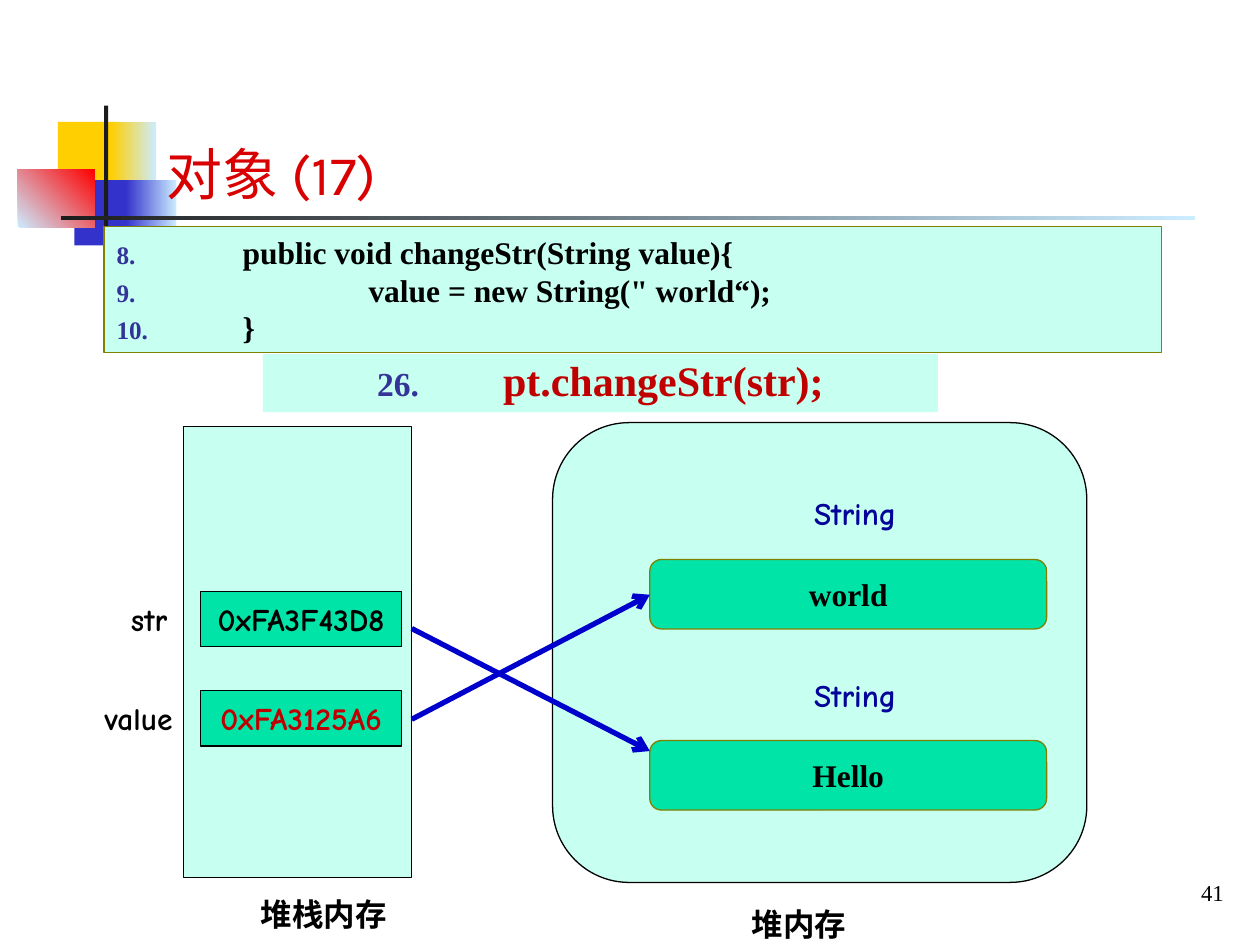
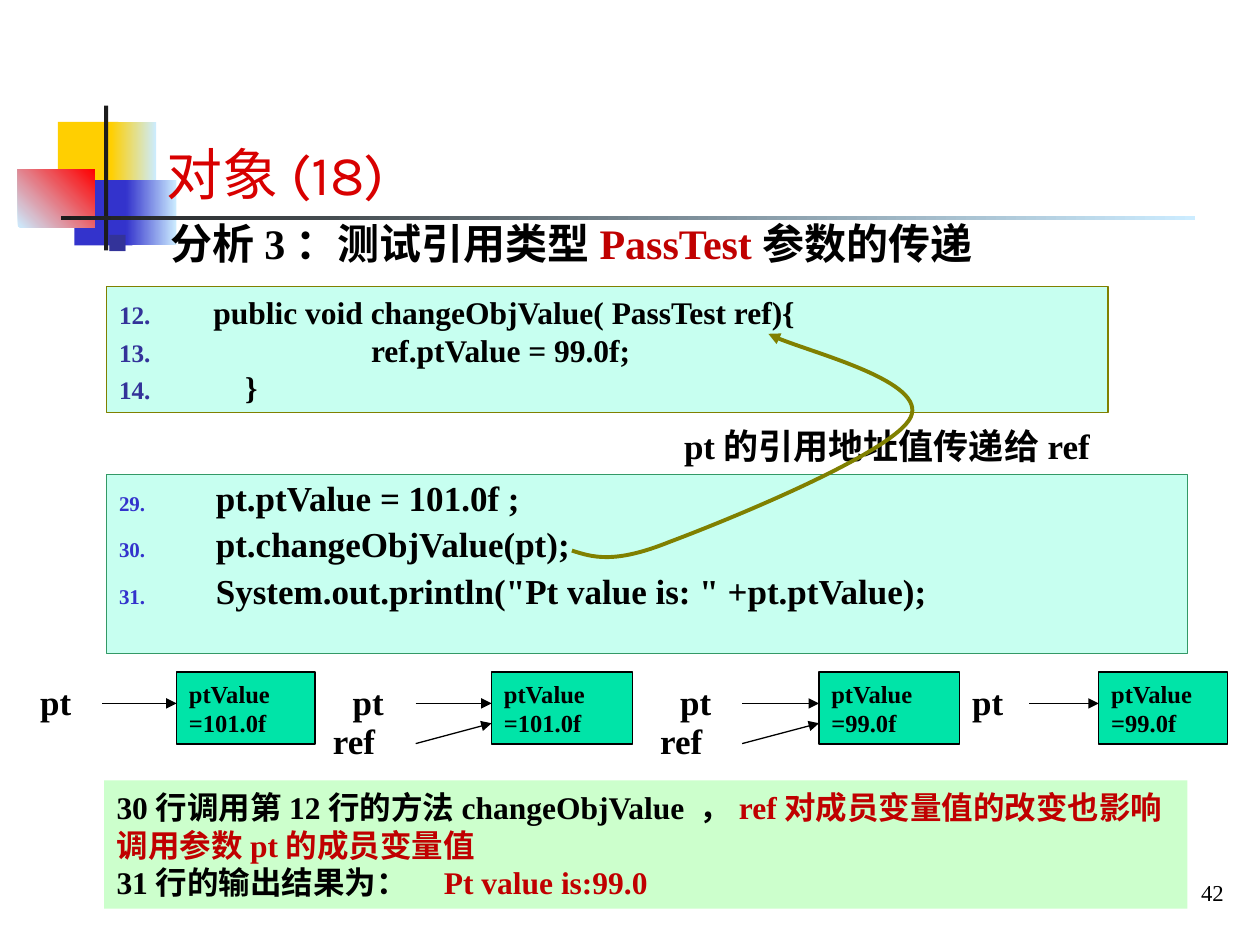
from dataclasses import dataclass, replace

from pptx import Presentation
from pptx.dml.color import RGBColor
from pptx.enum.shapes import MSO_CONNECTOR, MSO_SHAPE
from pptx.enum.text import MSO_ANCHOR, MSO_AUTO_SIZE, PP_ALIGN
from pptx.oxml.ns import qn
from pptx.oxml.xmlchemy import OxmlElement
from pptx.presentation import Presentation as Deck
from pptx.shapes.autoshape import Shape
from pptx.slide import Slide
from pptx.text.text import TextFrame
from pptx.util import Cm, Pt

BLACK, RED, TITLE_RED, NAVY = "000000", "C00000", "D80000", "04049A"
MINT, GREEN, PALE_GREEN = "C7FFF0", "00E4A8", "CCFFCC"
OLIVE, SEA, BLUE, INDIGO = "808000", "339966", "0000CC", "333399"
YELLOW, ROYAL, SKY, INK = "FFCF01", "3333CC", "CCECFF", "1C1C1C"
SERIF, HAND, HEADING = "Times New Roman", "Comic Neue", "Karla"


@dataclass(frozen=True)
class Area:
    """Position and size in centimetres."""
    left: float
    top: float
    width: float
    height: float


@dataclass(frozen=True)
class Bullet:
    """A numbered list from `start`, or a square when start is 0."""
    start: int
    indent: float
    color: str = INDIGO
    percent: int = 80


@dataclass(frozen=True)
class Style:
    size: float = 18
    color: str = BLACK
    font: str = SERIF
    bold: bool = True
    align: PP_ALIGN = PP_ALIGN.LEFT
    anchor: MSO_ANCHOR = MSO_ANCHOR.TOP
    bullet: Bullet | None = None
    spacing: float = 1.0
    before: float = 0
    tabs: tuple[float, ...] = ()


@dataclass(frozen=True)
class Span:
    text: str
    color: str = BLACK


@dataclass(frozen=True)
class Tile:
    """A plain rectangle, shaded when it has an end colour."""
    area: Area
    color: str
    end: str = ""
    angle: float = 0


@dataclass(frozen=True)
class Slot:
    name: str
    name_left: float
    top: float
    address: str
    color: str
    arrow_y: float
    target_y: float


@dataclass(frozen=True)
class State:
    """What pt, and sometimes ref, points to at one moment."""
    left: float
    arrow_left: float
    box_left: float
    box_width: float
    value: str
    has_ref: bool


Line = str | list[Span]
CODE_TABS = tuple(2.54 * stop for stop in range(1, 9))
CODE = Style(tabs=CODE_TABS)
CENTERED = Style(align=PP_ALIGN.CENTER, anchor=MSO_ANCHOR.MIDDLE)
HAND_LABEL = Style(font=HAND, anchor=MSO_ANCHOR.MIDDLE)
HAND_CENTERED = replace(CENTERED, font=HAND)

BAND = [
    Tile(Area(1.17, 2.46, 1.22, 1.32), YELLOW),
    Tile(Area(2.24, 2.46, 0.91, 1.32), YELLOW, SKY),
    Tile(Area(1.5, 3.63, 1.17, 1.32), ROYAL),
    Tile(Area(2.54, 3.63, 1.02, 1.32), ROYAL, SKY),
    Tile(Area(0.36, 3.41, 1.55, 1.17), SKY, "FF0000", 45),
    Tile(Area(2.1, 2.13, 0.08, 2.92), INK),
    Tile(Area(1.23, 4.35, 22.86, 0.08), INK, SKY),
]
SLOTS = [
    Slot("str", 2.39, 11.92, "0xFA3F43D8", BLACK, 12.67, 15.14),
    Slot("value", 1.86, 13.92, "0xFA3125A6", RED, 14.5, 11.99),
]
HEAP_OBJECTS = [("world", 11.28), ("Hello", 14.93)]
STATES = [
    State(0.56, 2.06, 3.56, 2.79, "101.0f", False),
    State(6.86, 8.38, 9.91, 2.84, "101.0f", True),
    State(13.46, 14.96, 16.51, 2.84, "99.0f", True),
    State(19.35, 20.75, 22.15, 2.59, "99.0f", False),
]
# Start of the curve, then two handles and an end for each part.
PASSING_CURVE = [
    (11.53, 11.1),
    (11.94, 11.23), (12.37, 11.38), (13.51, 10.92),
    (14.66, 10.49), (18.03, 9.12), (18.36, 8.41),
    (18.69, 7.7), (15.98, 7.01), (15.49, 6.73),
]


def rgb(color: str) -> RGBColor:
    return RGBColor.from_string(color)


def place(shape: Shape, area: Area) -> None:
    shape.left, shape.top = Cm(area.left), Cm(area.top)
    shape.width, shape.height = Cm(area.width), Cm(area.height)


def add_child(parent, tag: str, **attributes: str):
    child = OxmlElement(tag)
    for name, value in attributes.items():
        child.set(name, value)
    parent.append(child)
    return child


def add_bullet(properties, bullet: Bullet) -> None:
    properties.set("marL", str(Cm(bullet.indent)))
    properties.set("indent", str(-Cm(bullet.indent)))
    add_child(add_child(properties, "a:buClr"), "a:srgbClr", val=bullet.color)
    add_child(properties, "a:buSzPct", val=str(bullet.percent * 1000))
    add_child(properties, "a:buFont", typeface=SERIF)
    if bullet.start:
        add_child(properties, "a:buAutoNum", type="arabicPeriod", startAt=str(bullet.start))
    else:
        add_child(properties, "a:buChar", char="■")


def write(frame: TextFrame, lines: list[Line], style: Style) -> None:
    frame.word_wrap = True
    frame.auto_size = MSO_AUTO_SIZE.NONE
    frame.vertical_anchor = style.anchor
    for index, line in enumerate(lines):
        para = frame.add_paragraph() if index else frame.paragraphs[0]
        properties = para._p.get_or_add_pPr()
        if style.bullet:
            add_bullet(properties, style.bullet)
        if style.tabs:
            stops = add_child(properties, "a:tabLst")
            for stop in style.tabs:
                add_child(stops, "a:tab", pos=str(Cm(stop)), algn="l")
        para.alignment = style.align
        para.line_spacing = style.spacing
        para.space_before = Pt(style.before if index else 0)
        for span in [Span(line, style.color)] if isinstance(line, str) else line:
            run = para.add_run()
            run.text = span.text
            run.font.size, run.font.name = Pt(style.size), style.font
            run.font.bold = style.bold
            run.font.color.rgb = rgb(span.color)


def add_box(slide: Slide, area: Area, fill: str, line: str = "", lines: list[Line] | None = None,
            style: Style = CENTERED, kind: MSO_SHAPE = MSO_SHAPE.RECTANGLE) -> Shape:
    box = slide.shapes.add_shape(kind, 0, 0, 0, 0)
    place(box, area)
    box.shadow.inherit = False
    box.fill.solid()
    box.fill.fore_color.rgb = rgb(fill)
    if line:
        box.line.color.rgb = rgb(line)
        box.line.width = Pt(0.75)
    else:
        box.line.fill.background()
    if lines:
        write(box.text_frame, lines, style)
    return box


def add_label(slide: Slide, area: Area, text: str, style: Style) -> None:
    label = slide.shapes.add_textbox(0, 0, 0, 0)
    place(label, area)
    write(label.text_frame, [text], style)


def style_arrow(arrow, color: str, width: float, head: str) -> None:
    arrow.line.color.rgb = rgb(color)
    arrow.line.width = Pt(width)
    add_child(arrow.element.spPr.find(qn("a:ln")), "a:tailEnd", type=head)


def add_arrow(slide: Slide, start: tuple[float, float], end: tuple[float, float],
              color: str = BLACK, width: float = 0.75, head: str = "triangle") -> None:
    arrow = slide.shapes.add_connector(MSO_CONNECTOR.STRAIGHT, *map(Cm, start + end))
    style_arrow(arrow, color, width, head)
    add_child(arrow.element.spPr, "a:effectLst")


def add_curved_arrow(slide: Slide, points: list[tuple[float, float]]) -> None:
    """Draw the handles as a polyline, then join every three points into a Bézier part."""
    corners = [(Cm(x), Cm(y)) for x, y in points]
    builder = slide.shapes.build_freeform(*corners[0])
    builder.add_line_segments(corners[1:], close=False)
    curve = builder.convert_to_shape()
    segments = list(curve.element.iter(qn("a:lnTo")))
    for first in range(0, len(segments), 3):
        part = OxmlElement("a:cubicBezTo")
        segments[first].addprevious(part)
        for segment in segments[first:first + 3]:
            part.append(segment[0])
            segment.getparent().remove(segment)
    curve.shadow.inherit = False
    curve.fill.background()
    style_arrow(curve, OLIVE, 2.25, "triangle")


def move_band_to_master(deck: Deck, slide: Slide) -> None:
    """Draw the band on a slide and hand its tiles to the master."""
    master = deck.slide_master
    place(master.placeholders[0], Area(3.1, 1.52, 21.39, 2.77))
    for number, tile in enumerate(BAND, start=100):
        box = add_box(slide, tile.area, tile.color)
        if tile.end:
            box.fill.gradient()
            box.fill.gradient_angle = tile.angle
            for stop, color in zip(box.fill.gradient_stops, (tile.color, tile.end)):
                stop.color.rgb = rgb(color)
        box.element.nvSpPr.cNvPr.set("id", str(number))
        master.element.cSld.spTree.append(box.element)


def add_page(deck: Deck, layout: int, title: str, number: int) -> Slide:
    slide = deck.slides.add_slide(deck.slide_layouts[layout])
    write(slide.shapes.title.text_frame, [title],
          Style(32, TITLE_RED, HEADING, bold=False, anchor=MSO_ANCHOR.BOTTOM))
    add_label(slide, Area(20.07, 17.53, 4.85, 0.94), str(number),
              Style(13, bold=False, align=PP_ALIGN.RIGHT, anchor=MSO_ANCHOR.MIDDLE))
    return slide


def draw_memory(slide: Slide) -> None:
    add_box(slide, Area(3.7, 8.6, 4.6, 9.09), MINT, BLACK)
    add_box(slide, Area(5.3, 7.14, 13.61, 1.17), MINT, lines=["\tpt.changeStr(str);"],
            style=replace(CODE, size=24, color=RED, align=PP_ALIGN.CENTER, spacing=0.9,
                          bullet=Bullet(26, 1.6)))
    add_box(slide, Area(11.14, 8.52, 10.77, 9.27), MINT, BLACK, kind=MSO_SHAPE.ROUNDED_RECTANGLE)
    add_label(slide, Area(3.7, 17.91, 5.66, 1.02), "堆栈内存", HAND_CENTERED)
    add_label(slide, Area(11.9, 18.11, 8.41, 1.02), "堆内存", HAND_CENTERED)
    for text, top in HEAP_OBJECTS:
        add_label(slide, Area(15.74, top - 1.44, 3, 1.02), "String",
                  replace(HAND_CENTERED, color=NAVY))
        add_box(slide, Area(13.1, top, 8, 1.4), GREEN, OLIVE, [text],
                kind=MSO_SHAPE.ROUNDED_RECTANGLE)
    for slot in SLOTS:
        add_box(slide, Area(4.04, slot.top, 4.06, 1.12), GREEN, BLACK, [slot.address],
                replace(HAND_CENTERED, color=slot.color))
        add_label(slide, Area(slot.name_left, slot.top, 2.2, 1.12), slot.name, HAND_LABEL)
        add_arrow(slide, (8.3, slot.arrow_y), (13.1, slot.target_y), BLUE, 3, "arrow")
    add_box(slide, Area(2.1, 4.57, 21.31, 2.54), MINT, OLIVE,
            ["\tpublic void changeStr(String value){", "\t\tvalue = new String(\" world“);", "\t}"],
            replace(CODE, bullet=Bullet(8, 0.97)))


def draw_state(slide: Slide, state: State) -> None:
    name = Style(20)
    add_label(slide, Area(state.left, 13.59, 1.3, 1.12), "pt", name)
    add_arrow(slide, (state.arrow_left, 14.18), (state.box_left, 14.18))
    add_box(slide, Area(state.box_left, 13.55, state.box_width, 1.45), GREEN, BLACK,
            ["ptValue", f"={state.value}"], Style(14, anchor=MSO_ANCHOR.MIDDLE))
    if state.has_ref:
        add_label(slide, Area(state.left - 0.4, 14.38, 1.6, 1.12), "ref", name)
        add_arrow(slide, (state.arrow_left, 14.99), (state.box_left, 14.58))


def draw_reference_passing(slide: Slide) -> None:
    topic = slide.placeholders[1]
    place(topic, Area(1.91, 3.92, 21.59, 1.6))
    write(topic.text_frame,
          [[Span("分析3：测试引用类型"), Span("PassTest", RED), Span("参数的传递")]],
          Style(24, anchor=MSO_ANCHOR.BOTTOM, bullet=Bullet(0, 1.27)))
    add_box(slide, Area(2.15, 9.57, 21.79, 3.61), MINT, SEA,
            ["  pt.ptValue = 101.0f ;", "  pt.changeObjValue(pt);",
             "  System.out.println(\"Pt value is: \" +pt.ptValue);"],
            replace(CODE, size=20, spacing=0.9, before=5, bullet=Bullet(29, 1.6, ROYAL, 60)))
    add_box(slide, Area(2.15, 5.78, 20.19, 2.54), MINT, OLIVE,
            ["      public void changeObjValue( PassTest ref){", "\t\tref.ptValue = 99.0f;", "\t}"],
            replace(CODE, bullet=Bullet(12, 0.95)))
    add_label(slide, Area(13.54, 8.38, 9.2, 1.19), "pt的引用地址值传递给ref",
              Style(20, anchor=MSO_ANCHOR.MIDDLE))
    add_box(slide, Area(2.1, 15.73, 21.84, 2.59), PALE_GREEN, lines=[
        [Span("30行调用第12行的方法changeObjValue ，"), Span("ref对成员变量值的改变也影响", RED)],
        [Span("调用参数pt的成员变量值", RED)],
        [Span("31行的输出结果为：\t"), Span("Pt value is:99.0", RED)],
    ], style=Style(anchor=MSO_ANCHOR.MIDDLE, tabs=(6.6,)))
    add_curved_arrow(slide, PASSING_CURVE)
    for state in STATES:
        draw_state(slide, state)


def main() -> None:
    deck = Presentation()
    deck.slide_width, deck.slide_height = Cm(25.4), Cm(19.05)
    memory = add_page(deck, 5, "对象(17)", 41)
    move_band_to_master(deck, memory)
    draw_memory(memory)
    draw_reference_passing(add_page(deck, 1, "对象(18)", 42))
    deck.save("out.pptx")


if __name__ == "__main__":
    main()
